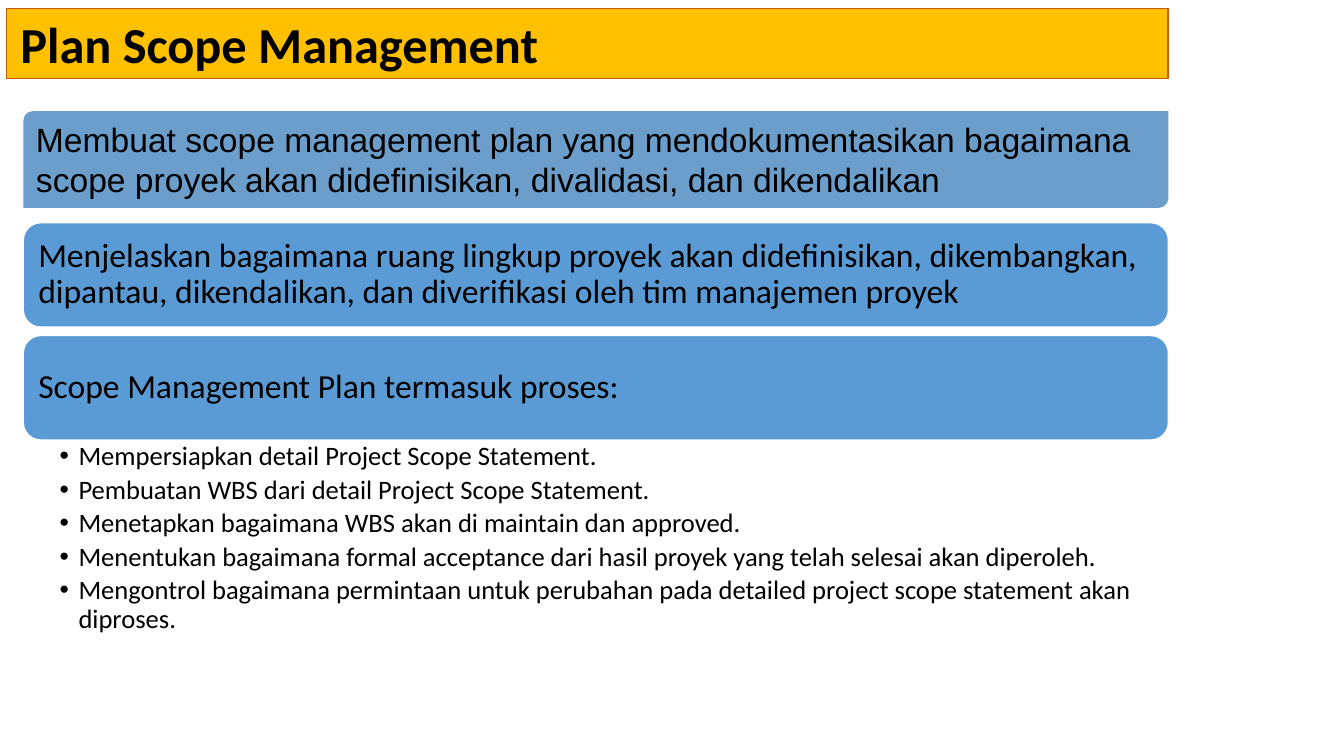
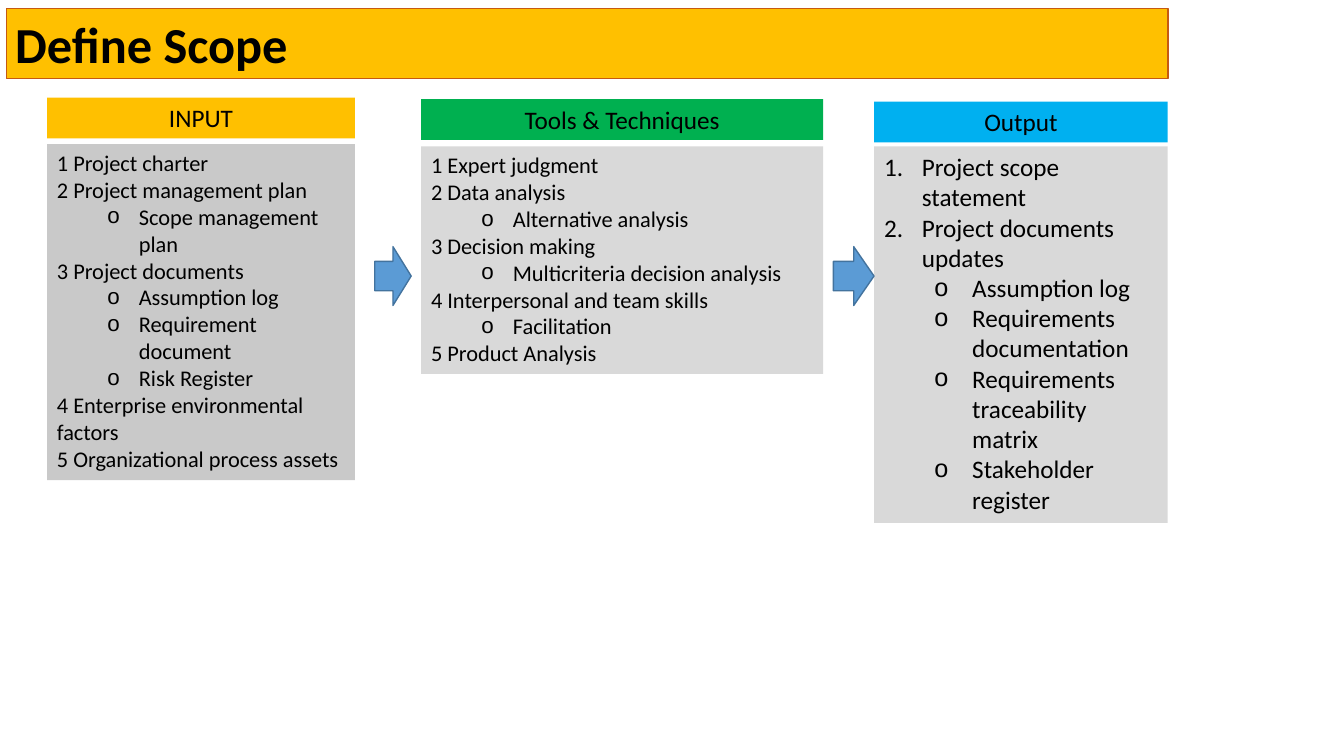
from dataclasses import dataclass
from typing import Optional

from lxml.etree import SubElement
from pptx import Presentation
from pptx.dml.color import RGBColor
from pptx.enum.shapes import MSO_SHAPE as Preset
from pptx.enum.text import MSO_ANCHOR as Anchor, PP_ALIGN as Align
from pptx.oxml.ns import qn
from pptx.shapes.autoshape import Shape
from pptx.slide import Slide
from pptx.util import Pt

BLACK = RGBColor(0x00, 0x00, 0x00)
WHITE = RGBColor(0xFF, 0xFF, 0xFF)
GOLD = RGBColor(0xFF, 0xC0, 0x00)
RUST = RGBColor(0xC5, 0x5A, 0x11)
DEEP_BLUE = RGBColor(0x2E, 0x75, 0xB6)
BLUE = RGBColor(0x5B, 0x9B, 0xD5)
ARROW_EDGE = RGBColor(0x43, 0x73, 0x9E)
GREEN = RGBColor(0x00, 0xB0, 0x50)
SKY = RGBColor(0x00, 0xB0, 0xF0)
GREY = RGBColor(0xC9, 0xC9, 0xC9)
LIGHT_GREY = RGBColor(0xD9, 0xD9, 0xD9)

BODY_FONT = "Calibri"
NUMBERED = "arabicPeriod"
INSETS = (7.2, 3.6, 7.2, 3.6)
CARD_LEFT, CARD_WIDTH = 16.6, 818


@dataclass(frozen=True)
class Area:
    left: float
    top: float
    width: float
    height: float


@dataclass(frozen=True)
class Item:
    text: str
    bullet: str = ""
    margin: float = 0
    hanging: float = 0


@dataclass(frozen=True)
class Panel:
    heading: str
    color: RGBColor
    heading_top: float
    body: Area
    body_color: RGBColor
    size: float
    items: list[Item]


def add_block(page: Slide, preset: Preset, area: Area, fill: Optional[RGBColor] = None,
              line: Optional[RGBColor] = None, line_width: float = 1) -> Shape:
    box = page.shapes.add_shape(preset, Pt(area.left), Pt(area.top),
                                Pt(area.width), Pt(area.height))
    box.shadow.inherit = False
    if fill is None:
        box.fill.background()
    else:
        box.fill.solid()
        box.fill.fore_color.rgb = fill
    if line is None:
        box.line.fill.background()
    else:
        box.line.color.rgb = line
        box.line.width = Pt(line_width)
    return box


def set_bullet(para, item: Item) -> None:
    props = para._p.get_or_add_pPr()
    props.set("marL", str(Pt(item.margin)))
    props.set("indent", str(-Pt(item.hanging)))
    if item.bullet == NUMBERED:
        SubElement(props, qn("a:buAutoNum"), type=NUMBERED)
    else:
        SubElement(props, qn("a:buFont"), typeface="Arial")
        SubElement(props, qn("a:buChar"), char=item.bullet)


def write_text(box: Shape, items: list[Item], *, size: float, font: str = BODY_FONT,
               bold: bool = False, align: Align = Align.LEFT, anchor: Anchor = Anchor.TOP,
               insets: tuple = INSETS, line_spacing: float = 1, space_after: float = 0) -> None:
    frame = box.text_frame
    frame.word_wrap = True
    frame.vertical_anchor = anchor
    (frame.margin_left, frame.margin_top,
     frame.margin_right, frame.margin_bottom) = map(Pt, insets)
    for index, item in enumerate(items):
        para = frame.add_paragraph() if index else frame.paragraphs[0]
        if item.bullet:
            set_bullet(para, item)
        para.alignment = align
        para.line_spacing = line_spacing
        para.space_after = Pt(space_after)
        span = para.add_run()
        span.text = item.text
        span.font.name = font
        span.font.size = Pt(size)
        span.font.bold = bold
        span.font.color.rgb = BLACK


def add_title(page: Slide, text: str, indent: float = 6.5) -> None:
    band = add_block(page, Preset.RECTANGLE, Area(4.3, 5.8, 830, 50.4), GOLD, RUST, 0.75)
    write_text(band, [Item(text)], size=36, bold=True, insets=(indent, 3.4, 6.5, 3.4))


def add_panel(page: Slide, panel: Panel) -> None:
    heading_area = Area(panel.body.left, panel.heading_top, panel.body.width, 29.1)
    heading = add_block(page, Preset.RECTANGLE, heading_area, panel.color)
    write_text(heading, [Item(panel.heading)], size=18, align=Align.CENTER)
    body = add_block(page, Preset.RECTANGLE, panel.body, panel.body_color)
    write_text(body, panel.items, size=panel.size)


def sub(text: str, margin: float = 58.5, hanging: float = 22.5) -> Item:
    return Item(text, "o", margin, hanging)


def wide_sub(text: str) -> Item:
    return sub(text, 63, 27)


def numbered(text: str) -> Item:
    return Item(text, NUMBERED, 27, 27)


PURPOSE = ("Membuat scope management plan yang mendokumentasikan bagaimana scope proyek "
           "akan didefinisikan, divalidasi, dan dikendalikan")
CARDS = [
    "Menjelaskan bagaimana ruang lingkup proyek akan didefinisikan, dikembangkan, "
    "dipantau, dikendalikan, dan diverifikasi oleh tim manajemen proyek",
    "Scope Management Plan termasuk proses:",
]
PROCESSES = [
    "Mempersiapkan detail Project Scope Statement.",
    "Pembuatan WBS dari detail Project Scope Statement.",
    "Menetapkan bagaimana WBS akan di maintain dan approved.",
    "Menentukan bagaimana formal acceptance dari hasil proyek yang telah selesai "
    "akan diperoleh.",
    "Mengontrol bagaimana permintaan untuk perubahan pada detailed project scope "
    "statement akan diproses.",
]
PANELS = [
    Panel("INPUT", GOLD, 69.7, Area(33.6, 103, 220, 240), GREY, 16, [
        Item("1 Project charter"),
        Item("2 Project management plan"),
        sub("Scope management plan"),
        Item("3 Project documents"),
        sub("Assumption log"),
        sub("Requirement document"),
        sub("Risk Register"),
        Item("4 Enterprise environmental factors"),
        Item("5 Organizational process assets"),
    ]),
    Panel("Tools & Techniques", GREEN, 70.8, Area(300.8, 104.6, 287.2, 162.6), LIGHT_GREY, 16, [
        Item("1 Expert judgment"),
        Item("2 Data analysis"),
        sub("Alternative analysis"),
        Item("3 Decision making"),
        sub("Multicriteria decision analysis"),
        Item("4 Interpersonal and team skills"),
        sub("Facilitation"),
        Item("5 Product Analysis"),
    ]),
    Panel("Output", SKY, 72.6, Area(624.4, 104.6, 209.7, 269), LIGHT_GREY, 18, [
        numbered("Project scope statement"),
        numbered("Project documents updates"),
        wide_sub("Assumption log"),
        wide_sub("Requirements documentation"),
        wide_sub("Requirements traceability matrix"),
        wide_sub("Stakeholder register"),
    ]),
]
ARROWS = [Area(267.7, 176.2, 26, 42), Area(595.3, 176.2, 29, 42)]


def build_plan_page(page: Slide) -> None:
    add_title(page, "Plan Scope Management", indent=10.3)
    purpose = add_block(page, Preset.ROUND_2_DIAG_RECTANGLE,
                        Area(CARD_LEFT, 79.4, CARD_WIDTH, 69.1), DEEP_BLUE)
    purpose.adjustments[0] = 0.1
    color = purpose._element.spPr.find(qn("a:solidFill")).find(qn("a:srgbClr"))
    SubElement(color, qn("a:alpha"), val="70000")
    write_text(purpose, [Item(PURPOSE)], size=24, font="Arial")

    for index, text in enumerate(CARDS):
        area = Area(CARD_LEFT, 159.1 + index * 80.6, CARD_WIDTH, 74.6)
        card = add_block(page, Preset.ROUNDED_RECTANGLE, area, BLUE, WHITE)
        write_text(card, [Item(text)], size=24, anchor=Anchor.MIDDLE,
                   insets=(7.2,) * 4, line_spacing=0.9)

    processes = add_block(page, Preset.RECTANGLE, Area(CARD_LEFT, 314.3, CARD_WIDTH, 148.3))
    write_text(processes, [Item(text, "•", 13.5, 13.5) for text in PROCESSES], size=19,
               insets=(26, 2, 13.5, 2), line_spacing=0.9, space_after=3.4)


def build_define_page(page: Slide) -> None:
    add_title(page, "Define Scope")
    for panel in PANELS:
        add_panel(page, panel)
    for area in ARROWS:
        add_block(page, Preset.RIGHT_ARROW, area, BLUE, ARROW_EDGE)


def main() -> None:
    deck = Presentation()
    deck.slide_width, deck.slide_height = Pt(960), Pt(540)
    blank = deck.slide_layouts[6]
    for build in (build_plan_page, build_define_page):
        build(deck.slides.add_slide(blank))
    deck.save("out.pptx")


if __name__ == "__main__":
    main()
